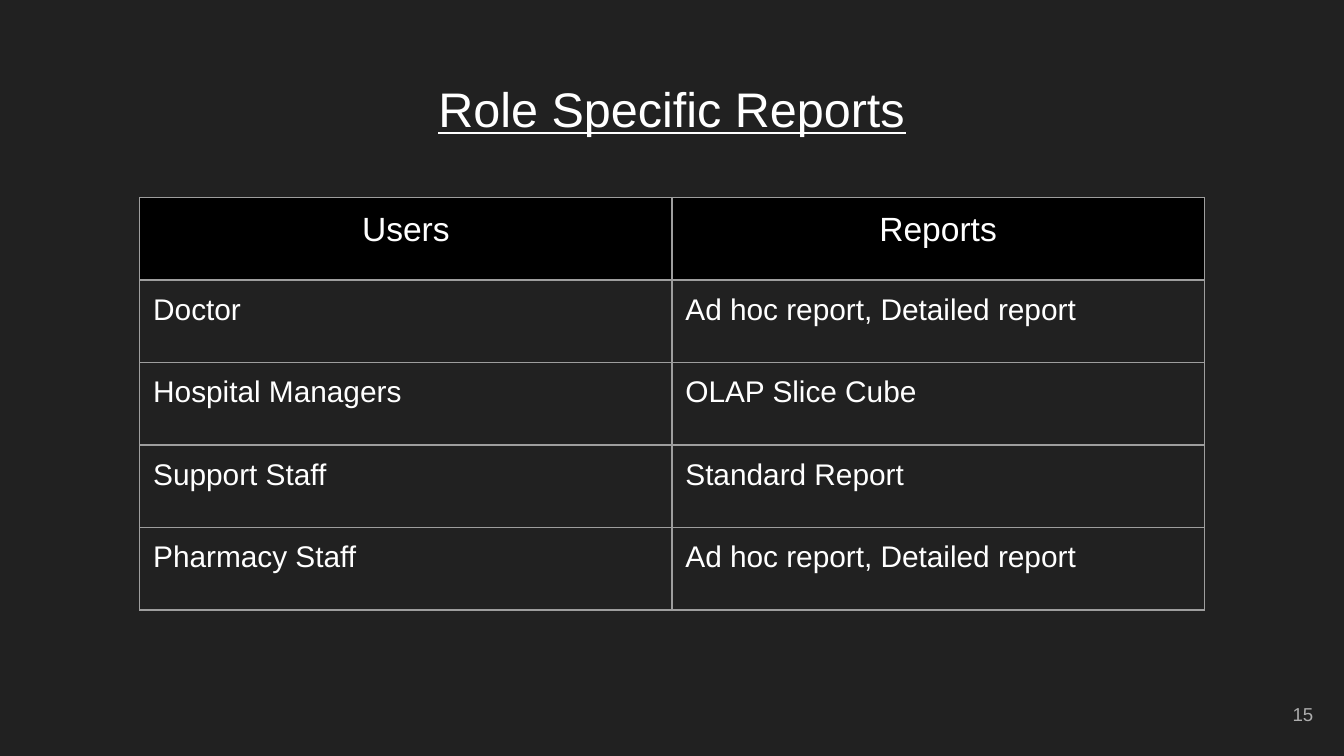
from lxml.etree import SubElement
from pptx import Presentation
from pptx.dml.color import RGBColor
from pptx.enum.text import MSO_ANCHOR, PP_ALIGN
from pptx.oxml.ns import qn
from pptx.util import Inches, Pt

BACKGROUND = RGBColor(0x21, 0x21, 0x21)
WHITE = RGBColor(0xFF, 0xFF, 0xFF)
BLACK = RGBColor(0x00, 0x00, 0x00)
GRAY = RGBColor(0xAD, 0xAD, 0xAD)
BORDER = RGBColor(0x9E, 0x9E, 0x9E)

TITLE = "Role Specific Reports"
PAGE_NUMBER = "15"
ROWS = [
    ("Users", "Reports"),
    ("Doctor", "Ad hoc report, Detailed report"),
    ("Hospital Managers", "OLAP Slice Cube"),
    ("Support Staff", "Standard Report"),
    ("Pharmacy Staff", "Ad hoc report, Detailed report"),
]
TABLE_BOX = (1.04, 1.47, 7.92, 3.07)
MARGINS = ("margin_left", "margin_top", "margin_right", "margin_bottom")


def write(holder, tf, text, align, **font):
    """Put one line of text in tf; holder is the object that has the margins."""
    for margin in MARGINS:
        setattr(holder, margin, Inches(0.1))
    tf.word_wrap = True
    p = tf.paragraphs[0]
    p.alignment = align
    r = p.add_run()
    r.text = text
    color = font.pop("color", WHITE)
    for name, value in {"name": "Arial", **font}.items():
        setattr(r.font, name, value)
    r.font.color.rgb = color


def add_text(s, box, text, align, anchor, **font):
    tf = s.shapes.add_textbox(*map(Inches, box)).text_frame
    write(tf, tf, text, align, **font)
    tf.vertical_anchor = anchor


def add_borders(cell):
    tcPr = cell._tc.get_or_add_tcPr()
    for side in ("lnL", "lnR", "lnT", "lnB"):
        line = SubElement(tcPr, qn(f"a:{side}"), w=str(Pt(0.75)))
        fill = SubElement(line, qn("a:solidFill"))
        SubElement(fill, qn("a:srgbClr"), val=str(BORDER))


def add_report_table(s):
    """Add the table; its columns and rows share the box equally."""
    table = s.shapes.add_table(
        len(ROWS), len(ROWS[0]), *map(Inches, TABLE_BOX)).table
    table.horz_banding = False
    for i, row in enumerate(ROWS):
        header = i == 0
        for j, text in enumerate(row):
            cell = table.cell(i, j)
            write(cell, cell.text_frame, text,
                  PP_ALIGN.CENTER if header else PP_ALIGN.LEFT,
                  size=Pt(18 if header else 16), bold=False)
            add_borders(cell)
            if header:
                cell.fill.solid()
                cell.fill.fore_color.rgb = BLACK
            else:
                cell.fill.background()


prs = Presentation()
prs.slide_width = Inches(10)
prs.slide_height = prs.slide_width * 9 // 16
s = prs.slides.add_slide(prs.slide_layouts[6])
s.background.fill.solid()
s.background.fill.fore_color.rgb = BACKGROUND

add_text(s, (0.34, 0.49, 9.32, 0.63), TITLE, PP_ALIGN.CENTER, MSO_ANCHOR.TOP,
         size=Pt(26), underline=True)
add_text(s, (9.27, 5.1, 0.6, 0.43), PAGE_NUMBER, PP_ALIGN.RIGHT, MSO_ANCHOR.MIDDLE,
         size=Pt(10), color=GRAY)
add_report_table(s)

prs.save("out.pptx")
